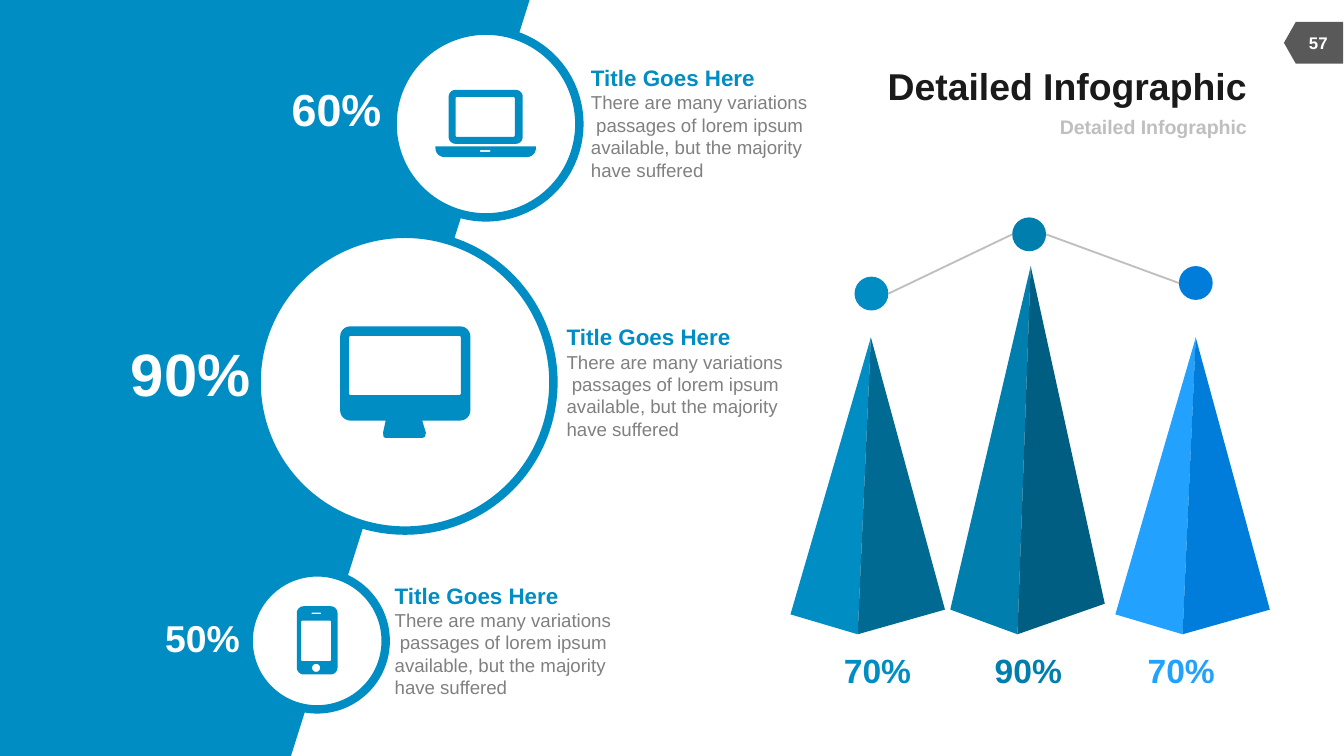
import math
from dataclasses import dataclass
from typing import Any, NamedTuple

from lxml import etree
from pptx import Presentation
from pptx import util as u
from pptx.dml.color import RGBColor
from pptx.enum import shapes, text
from pptx.oxml.ns import qn

Point = tuple[float, float]


@dataclass(frozen=True)
class Theme:
    font: str = "Arial"
    blue: str = "008DC3"
    blue_shade: str = "006A92"
    deep: str = "007EAE"
    deep_shade: str = "005E82"
    sky: str = "23A1FF"
    sky_shade: str = "007DDA"
    white: str = "FFFFFF"
    ink: str = "1A1A1A"
    body: str = "808080"
    pale: str = "BFBFBF"
    tab: str = "595959"
    title_size: float = 20
    subtitle_size: float = 10.5
    number_size: float = 9
    heading_size: float = 12
    body_size: float = 10
    label_size: float = 18


THEME = Theme()
WIDTH, HEIGHT = 25.4, 14.29
BASE_Y = 11.99  # front corner of every pyramid
DOT = 0.64
DESCRIPTION = ("There are many variations  passages of lorem ipsum available, "
               "but the majority have suffered")


class Box(NamedTuple):
    left: float
    top: float
    width: float
    height: float

    def lengths(self) -> list[u.Length]:
        return [u.Cm(value) for value in self]


class Line(NamedTuple):
    words: str
    size: float
    color: str
    bold: bool = True


@dataclass(frozen=True)
class Device:
    circle: Box
    icon: list[list[Point]]
    percent: Line
    percent_box: Box
    text_left: float
    text_top: float


@dataclass(frozen=True)
class Pyramid:
    left: float
    apex_y: float
    light: str
    dark: str
    dot_color: str
    dot_left: float
    dot_top: float
    percent: str
    label_left: float


def rounded(left: float, top: float, right: float, bottom: float,
            top_radius: float, bottom_radius: float) -> list[Point]:
    """Outline of a rectangle with rounded corners, clockwise."""
    corners = [(right, top, -1, 1, top_radius, -90),
               (right, bottom, -1, -1, bottom_radius, 0),
               (left, bottom, 1, -1, bottom_radius, 90),
               (left, top, 1, 1, top_radius, 180)]
    points = []
    for x, y, inward_x, inward_y, radius, start in corners:
        for step in range(7):
            angle = math.radians(start + 15 * step)
            points.append((x + radius * (inward_x + math.cos(angle)),
                           y + radius * (inward_y + math.sin(angle))))
    return points


LAPTOP = [rounded(8.48, 1.7, 9.88, 2.72, 0.13, 0.13),
          rounded(8.61, 1.83, 9.73, 2.59, 0.03, 0.03),
          rounded(8.23, 2.77, 10.13, 2.97, 0, 0.17),
          rounded(9.07, 2.84, 9.27, 2.87, 0.01, 0.01)]
MONITOR = [rounded(6.43, 6.17, 8.89, 7.95, 0.19, 0.19),
           rounded(6.6, 6.35, 8.71, 7.47, 0.03, 0.03),
           [(7.29, 7.95), (7.98, 7.95), (8.05, 8.18), (8.03, 8.26), (7.98, 8.28),
            (7.29, 8.28), (7.25, 8.26), (7.24, 8.18)]]
PHONE = [rounded(5.61, 11.46, 6.38, 12.75, 0.13, 0.13),
         rounded(5.69, 11.73, 6.26, 12.5, 0.03, 0.03),
         rounded(5.89, 11.58, 6.07, 11.61, 0.01, 0.01),
         rounded(5.9, 12.55, 6.05, 12.7, 0.07, 0.07)]

DEVICES = [
    Device(Box(4.85, 4.42, 5.61, 5.61), MONITOR, Line("90%", 32, THEME.white),
           Box(2.46, 6.35, 2.29, 1.37), 10.46, 5.99),
    Device(Box(7.42, 0.58, 3.53, 3.53), LAPTOP, Line("60%", 24, THEME.white),
           Box(5.51, 1.55, 1.7, 1.02), 10.92, 1.09),
    Device(Box(4.7, 10.82, 2.59, 2.59), PHONE, Line("50%", 20, THEME.white),
           Box(3.12, 11.63, 1.42, 0.86), 7.21, 10.87),
]
PYRAMIDS = [
    Pyramid(14.94, 6.38, THEME.blue, THEME.blue_shade, THEME.blue, 16.15, 5.23, "70%", 15.95),
    Pyramid(17.96, 5.03, THEME.deep, THEME.deep_shade, THEME.deep, 19.13, 4.11, "90%", 18.8),
    Pyramid(21.08, 6.38, THEME.sky, THEME.sky_shade, THEME.sky_shade, 22.28, 5.03, "70%", 21.69),
]


def set_values(target: Any, values: dict[str, Any]) -> None:
    for name, value in values.items():
        setattr(target, name, value)


def paint(shape: Any, fill: str, line: str | None = None) -> None:
    shape.shadow.inherit = False
    shape.fill.solid()
    shape.fill.fore_color.rgb = RGBColor.from_string(fill)
    if line:
        shape.line.color.rgb = RGBColor.from_string(line)
        shape.line.width = u.Pt(4.5)
    else:
        shape.line.fill.background()


def write(shape: Any, lines: list[Line], alignment: Any = text.PP_ALIGN.CENTER,
          anchor: Any = text.MSO_ANCHOR.MIDDLE, wrap: bool = False, inset: bool = False) -> None:
    frame = shape.text_frame
    set_values(frame, {"word_wrap": wrap, "auto_size": text.MSO_AUTO_SIZE.NONE,
                       "vertical_anchor": anchor})
    if not inset:
        set_values(frame, {f"margin_{side}": 0 for side in ("left", "top", "right", "bottom")})
    for index, line in enumerate(lines):
        paragraph = frame.add_paragraph() if index else frame.paragraphs[0]
        paragraph.alignment = alignment
        run = paragraph.add_run()
        run.text = line.words
        set_values(run.font, {"name": THEME.font, "size": u.Pt(line.size), "bold": line.bold})
        run.font.color.rgb = RGBColor.from_string(line.color)


def add_text(slide: Any, box: Box, lines: list[Line], **layout: Any) -> None:
    write(slide.shapes.add_textbox(*box.lengths()), lines, **layout)


def add_ellipse(slide: Any, box: Box, fill: str, line: str | None = None) -> None:
    paint(slide.shapes.add_shape(shapes.MSO_SHAPE.OVAL, *box.lengths()), fill, line)


def add_outline(slide: Any, contours: list[list[Point]], fill: str) -> None:
    """One filled shape; inner contours become holes."""
    scaled = [[(u.Cm(x), u.Cm(y)) for x, y in contour] for contour in contours]
    builder = slide.shapes.build_freeform(*scaled[0][0])
    for index, contour in enumerate(scaled):
        if index:
            builder.move_to(*contour[0])
        builder.add_line_segments(contour[1:], close=True)
    paint(builder.convert_to_shape(), fill)


def add_device(slide: Any, device: Device) -> None:
    add_ellipse(slide, device.circle, THEME.white, THEME.blue)
    add_outline(slide, device.icon, THEME.blue)
    add_text(slide, device.percent_box, [device.percent])
    add_text(slide, Box(device.text_left, device.text_top, 4.65, 2.49),
             [Line("Title Goes Here", THEME.heading_size, THEME.blue),
              Line(DESCRIPTION, THEME.body_size, THEME.body, False)],
             alignment=text.PP_ALIGN.LEFT, anchor=text.MSO_ANCHOR.TOP, wrap=True, inset=True)


def add_pyramid(slide: Any, pyramid: Pyramid) -> None:
    rise = BASE_Y - pyramid.apex_y
    apex = (pyramid.left + 1.52, pyramid.apex_y)
    front = (pyramid.left + 1.27, BASE_Y)
    left = (pyramid.left, BASE_Y - 0.067 * rise)
    right = (pyramid.left + 2.92, BASE_Y - 0.083 * rise)
    add_outline(slide, [[apex, front, left]], pyramid.light)
    add_outline(slide, [[front, apex, right]], pyramid.dark)
    add_ellipse(slide, Box(pyramid.dot_left, pyramid.dot_top, DOT, DOT), pyramid.dot_color)
    add_text(slide, Box(pyramid.label_left, 12.29, 1.27, 0.76),
             [Line(pyramid.percent, THEME.label_size, pyramid.light)],
             anchor=text.MSO_ANCHOR.BOTTOM)


def add_link(slide: Any, start: Pyramid, end: Pyramid) -> None:
    ends = (start.dot_left + DOT, start.dot_top + DOT / 2, end.dot_left, end.dot_top + DOT / 2)
    connector = slide.shapes.add_connector(shapes.MSO_CONNECTOR.STRAIGHT,
                                           *[u.Cm(value) for value in ends])
    connector.line.color.rgb = RGBColor.from_string(THEME.pale)
    connector.line.width = u.Pt(1)
    etree.SubElement(connector._element.spPr, qn("a:effectLst"))


def main() -> None:
    presentation = Presentation()
    set_values(presentation, {"slide_width": u.Cm(WIDTH), "slide_height": u.Cm(HEIGHT)})
    slide = presentation.slides.add_slide(presentation.slide_layouts[5])

    # Slanted panel and page number tab
    add_outline(slide, [[(0, 0), (10.01, 0), (5.5, HEIGHT), (0, HEIGHT)]], THEME.blue)
    tab = slide.shapes.add_shape(shapes.MSO_SHAPE.FLOWCHART_OFFPAGE_CONNECTOR,
                                 *Box(24.43, 0.25, 0.79, 1.12).lengths())
    tab.rotation = 90
    paint(tab, THEME.tab)
    add_text(slide, Box(24.38, 0.43, 1.07, 0.76), [Line("57", THEME.number_size, THEME.white)])

    # Title and subtitle
    title = slide.shapes.title
    set_values(title, dict(zip(("left", "top", "width", "height"),
                               Box(7.9, 1.12, 15.67, 0.99).lengths())))
    write(title, [Line("Detailed Infographic", THEME.title_size, THEME.ink)],
          alignment=text.PP_ALIGN.RIGHT)
    add_text(slide, Box(12.14, 2.11, 11.43, 0.56),
             [Line("Detailed Infographic", THEME.subtitle_size, THEME.pale)],
             alignment=text.PP_ALIGN.RIGHT, wrap=True)

    # Devices on the left, pyramids on the right
    for device in DEVICES:
        add_device(slide, device)
    for pyramid in PYRAMIDS:
        add_pyramid(slide, pyramid)
    for start, end in zip(PYRAMIDS, PYRAMIDS[1:]):
        add_link(slide, start, end)

    presentation.save("out.pptx")


if __name__ == "__main__":
    main()
